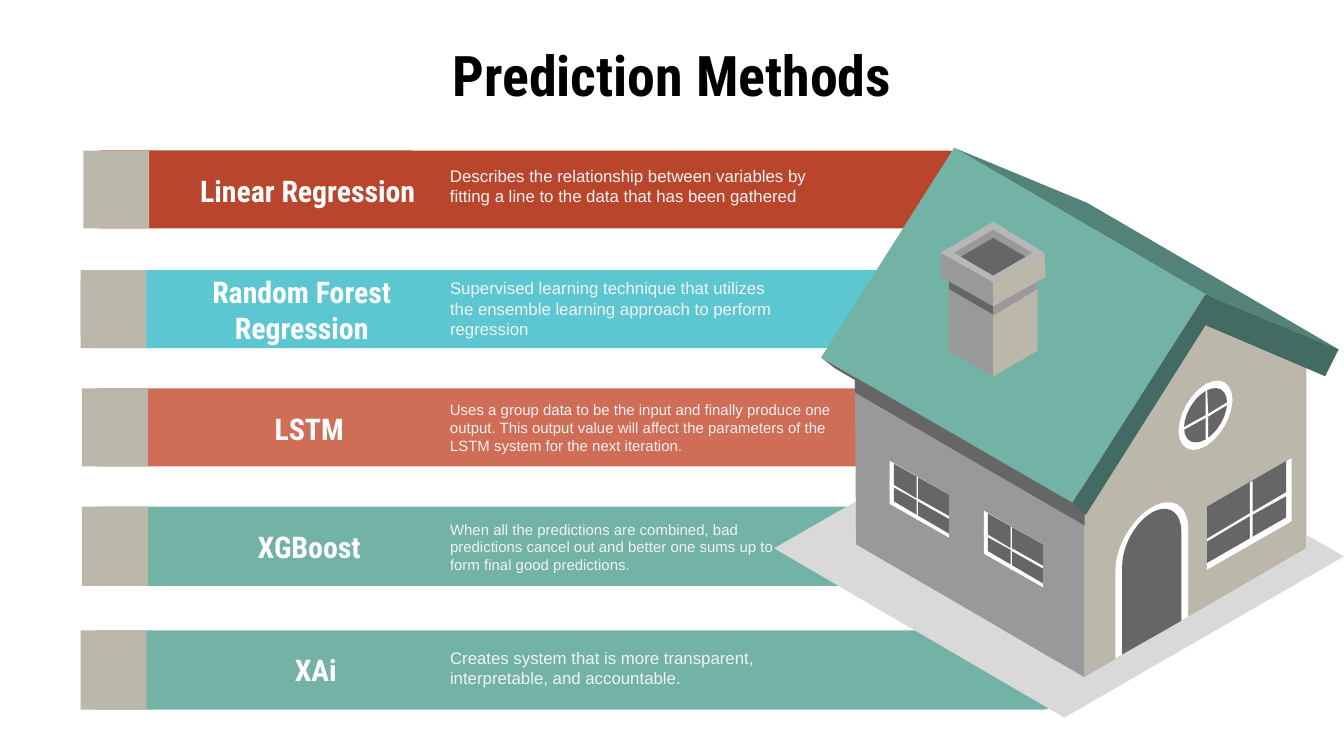
import math
from dataclasses import dataclass

from pptx import Presentation
from pptx import util as u
from pptx.dml import color
from pptx.enum import shapes, text


@dataclass(frozen=True)
class Theme:
    heading: str = "Roboto Condensed"
    body: str = "Arial"
    title_size: int = 30
    label_size: int = 16
    note_size: int = 9
    small_size: int = 8
    black: str = "000000"
    white: str = "FFFFFF"
    pale: str = "F2F2F2"
    brick: str = "B9462C"
    sky: str = "5CC7D1"
    coral: str = "CF6D57"
    teal: str = "72B3A5"
    teal_mid: str = "528278"
    teal_dark: str = "446B63"
    sand: str = "BCB7AB"
    ground: str = "D9D9D9"
    rim: str = "B7B7B7"
    grey: str = "999999"
    dark: str = "666666"


class Deck:
    COLUMNS = 1000
    INSET = 10
    SLOPE = 0.58

    def __init__(self, theme):
        self.theme = theme
        self.prs = Presentation()
        self.prs.slide_width = u.Inches(10)
        self.prs.slide_height = u.Inches(5.625)
        self.cell = self.prs.slide_width / self.COLUMNS
        self.s = self.prs.slides.add_slide(self.prs.slide_layouts[5])

    def grid(self, *cells):
        return [u.Emu(round(c * self.cell)) for c in cells]

    def paint(self, sp, fill):
        sp.shadow.inherit = False
        sp.fill.solid()
        sp.fill.fore_color.rgb = color.RGBColor.from_string(fill)
        sp.line.fill.background()

    def set_text(self, sp, words, font, size, ink, bold, align, anchor, fit):
        tf = sp.text_frame
        tf.text = words
        tf.word_wrap = True
        tf.auto_size = fit
        tf.vertical_anchor = anchor
        inset, = self.grid(self.INSET)
        tf.margin_left = tf.margin_right = inset
        tf.margin_top = tf.margin_bottom = inset
        p = tf.paragraphs[0]
        p.alignment = align
        r = p.runs[0]
        r.font.name, r.font.size, r.font.bold = font, u.Pt(size), bold
        r.font.color.rgb = color.RGBColor.from_string(ink)

    def heading(self, sp, words, size, ink):
        self.set_text(sp, words, self.theme.heading, size, ink, True,
                      text.PP_ALIGN.CENTER, text.MSO_ANCHOR.MIDDLE,
                      text.MSO_AUTO_SIZE.NONE)

    def title(self, words, *box):
        sp = self.s.shapes.title
        sp.left, sp.top, sp.width, sp.height = self.grid(*box)
        self.heading(sp, words, self.theme.title_size, self.theme.black)

    def label(self, words, *box):
        sp = self.s.shapes.add_textbox(*self.grid(*box))
        self.heading(sp, words, self.theme.label_size, self.theme.white)

    def note(self, words, size, *box):
        sp = self.s.shapes.add_textbox(*self.grid(*box))
        self.set_text(sp, words, self.theme.body, size, self.theme.pale, False,
                      text.PP_ALIGN.LEFT, text.MSO_ANCHOR.TOP,
                      text.MSO_AUTO_SIZE.SHAPE_TO_FIT_TEXT)

    def block(self, kind, fill, *box):
        sp = self.s.shapes.add_shape(kind, *self.grid(*box))
        self.paint(sp, fill)

    def polygon(self, fill, points, dx=0, dy=0):
        start, *rest = [self.grid(x + dx, y + dy) for x, y in points]
        builder = self.s.shapes.build_freeform(*start)
        builder.add_line_segments(rest, close=True)
        self.paint(builder.convert_to_shape(), fill)

    def arc(self, cx, cy, rx, ry, turn, steps=24):
        angles = [turn * i / steps for i in range(steps + 1)]
        return [(cx + rx * math.cos(a),
                 cy - ry * math.sin(a) - self.SLOPE * rx * math.cos(a))
                for a in angles]


def draw_methods(deck):
    t = deck.theme
    methods = [
        ("Linear Regression", t.brick, (66, 112, 649, 58), 62, (91, 276),
         "Describes the relationship between variables by fitting a line to "
         "the data that has been gathered", t.note_size, (113, 310, 50)),
        ("Random Forest Regression", t.sky, (60, 201, 644, 58), 60, (110, 229),
         "Supervised learning technique that utilizes the ensemble learning "
         "approach to perform regression", t.note_size, (197, 262, 66)),
        ("LSTM", t.coral, (64, 289, 641, 58), 61, (99, 262),
         "Uses a group data to be the input and finally produce one output. "
         "This output value will affect the parameters of the LSTM system for "
         "the next iteration.", t.small_size, (288, 310, 61)),
        ("XGBoost", t.teal, (64, 377, 641, 59), 61, (99, 262),
         "When all the predictions are combined, bad predictions cancel out "
         "and better one sums up to form final good predictions.",
         t.small_size, (377, 262, 61)),
        ("XAi", t.teal, (63, 469, 723, 59), 60, (100, 270),
         "Creates system that is more transparent, interpretable, and "
         "accountable.", t.note_size, (472, 262, 50)),
    ]
    for name, fill, bar, tab, (left, width), words, size, place in methods:
        top, height = bar[1], bar[3]
        deck.block(shapes.MSO_SHAPE.ROUNDED_RECTANGLE, fill, *bar)
        deck.block(shapes.MSO_SHAPE.RECTANGLE, t.sand, tab, top, 49, height)
        deck.label(name, left, top, width, 59)
        deck.note(words, size, 325, *place)


def draw_house(deck):
    t = deck.theme
    walls_and_roof = [
        (t.sand, [(889, 237), (972, 270), (972, 408), (807, 504), (807, 366)]),
        (t.ground, [(637, 373), (637, 405), (807, 504), (972, 408), (972, 398),
                    (1000, 414), (792, 534), (576, 408)]),
        (t.grey, [(636, 267), (807, 366), (807, 504), (637, 405)]),
        (t.dark, [(636, 280), (798, 374), (804, 365), (807, 366), (807, 391),
                  (636, 292)]),
        (t.teal_mid, [(710, 110), (809, 151), (996, 260), (897, 219)]),
        (t.dark, [(611, 266), (798, 374), (808, 383), (621, 274)]),
        (t.teal, [(710, 110), (897, 219), (798, 374), (611, 266)]),
        (t.teal_dark, [(897, 219), (996, 260), (986, 280), (897, 242),
                       (808, 383), (798, 374)]),
    ]
    door = [
        (t.white, deck.arc(857, 408.5, 27, 31, math.pi) + [(830, 490), (884, 459)]),
        (t.dark, deck.arc(857, 408.5, 22, 27, math.pi) + [(835, 487), (879, 462)]),
    ]
    front_window = [
        (t.white, [(961, 341), (961, 388), (898, 424), (898, 377)]),
        (t.dark, [(957, 343), (957, 385), (898, 419), (898, 377)]),
        (t.white, [(932, 358), (932, 381), (961, 364), (961, 367), (932, 383),
                   (932, 404), (930, 405), (930, 384), (898, 403), (898, 401),
                   (930, 382), (930, 359)]),
    ]
    side_window = [
        (t.white, [(662, 343), (706, 368), (706, 400), (662, 375)]),
        (t.dark, [(665, 345), (706, 368), (706, 397), (665, 373)]),
        (t.white, [(682, 355), (683, 355), (683, 371), (706, 384), (706, 386),
                   (683, 373), (683, 387), (682, 387), (682, 372), (662, 361),
                   (662, 359), (682, 371)]),
    ]
    round_window = [
        (t.white, deck.arc(897, 309, 20, 23, math.tau)),
        (t.dark, deck.arc(897, 309, 16, 18, math.tau)),
        (t.white, [(898, 285), (899, 308), (917, 297), (917, 299), (899, 310),
                   (899, 331), (897, 332), (897, 311), (877, 322), (877, 320),
                   (897, 309), (897, 286)]),
    ]
    chimney = [
        (t.grey, [(706, 202), (739, 222), (739, 280), (706, 261)]),
        (t.sand, [(772, 202), (772, 261), (739, 280), (739, 222)]),
        (t.dark, [(706, 202), (739, 222), (739, 234), (706, 215)]),
        (t.grey, [(772, 202), (772, 215), (739, 235), (739, 222)]),
        (t.grey, [(700, 188), (739, 210), (739, 228), (700, 206)]),
        (t.sand, [(777, 188), (778, 206), (739, 228), (739, 210)]),
        (t.rim, [(739, 165), (777, 188), (739, 210), (700, 188)]),
        (t.grey, [(739, 171), (768, 188), (739, 205), (710, 188)]),
        (t.dark, [(739, 177), (763, 191), (739, 205), (715, 191)]),
    ]
    for fill, points in walls_and_roof + door + front_window:
        deck.polygon(fill, points)
    for dx, dy in [(70, 37), (0, 0)]:
        for fill, points in side_window:
            deck.polygon(fill, points, dx, dy)
    for fill, points in round_window + chimney:
        deck.polygon(fill, points)


def main():
    deck = Deck(Theme())
    deck.title("Prediction Methods", 50, 29, 900, 53)
    draw_methods(deck)
    draw_house(deck)
    deck.prs.save("out.pptx")


if __name__ == "__main__":
    main()
